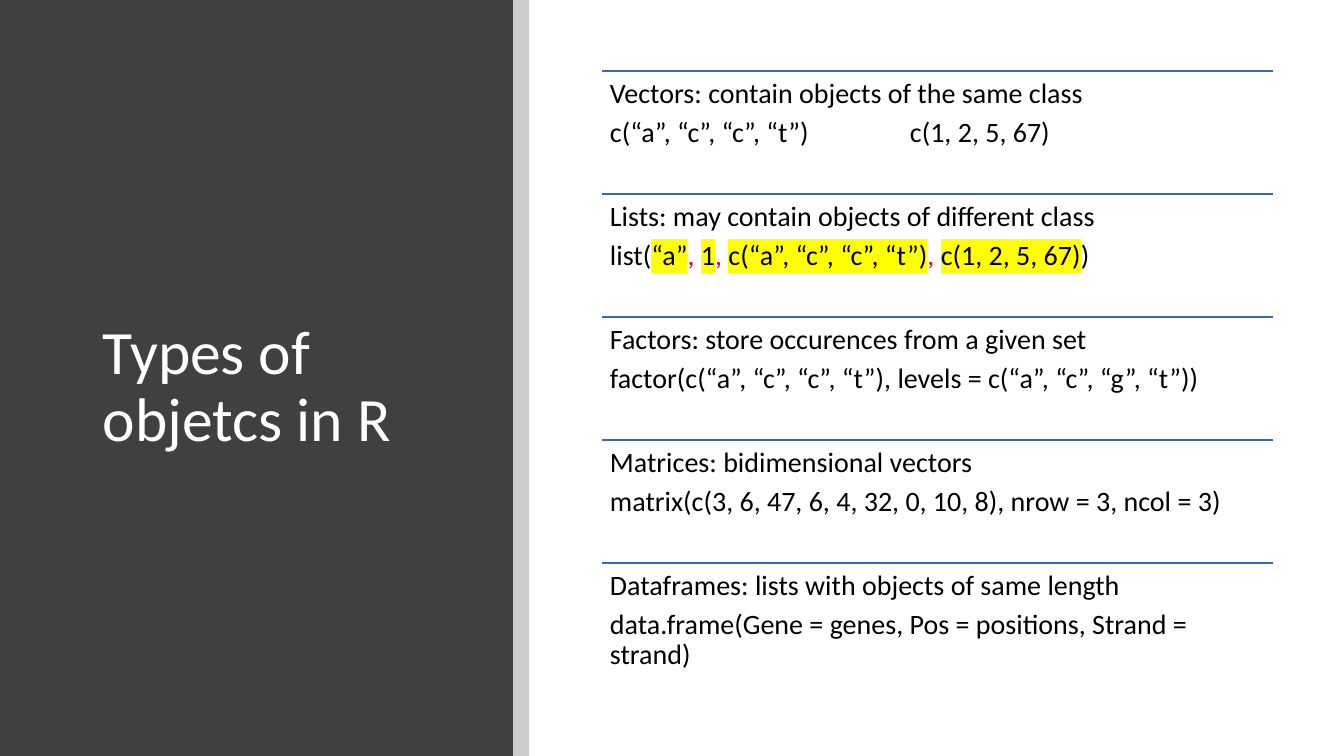
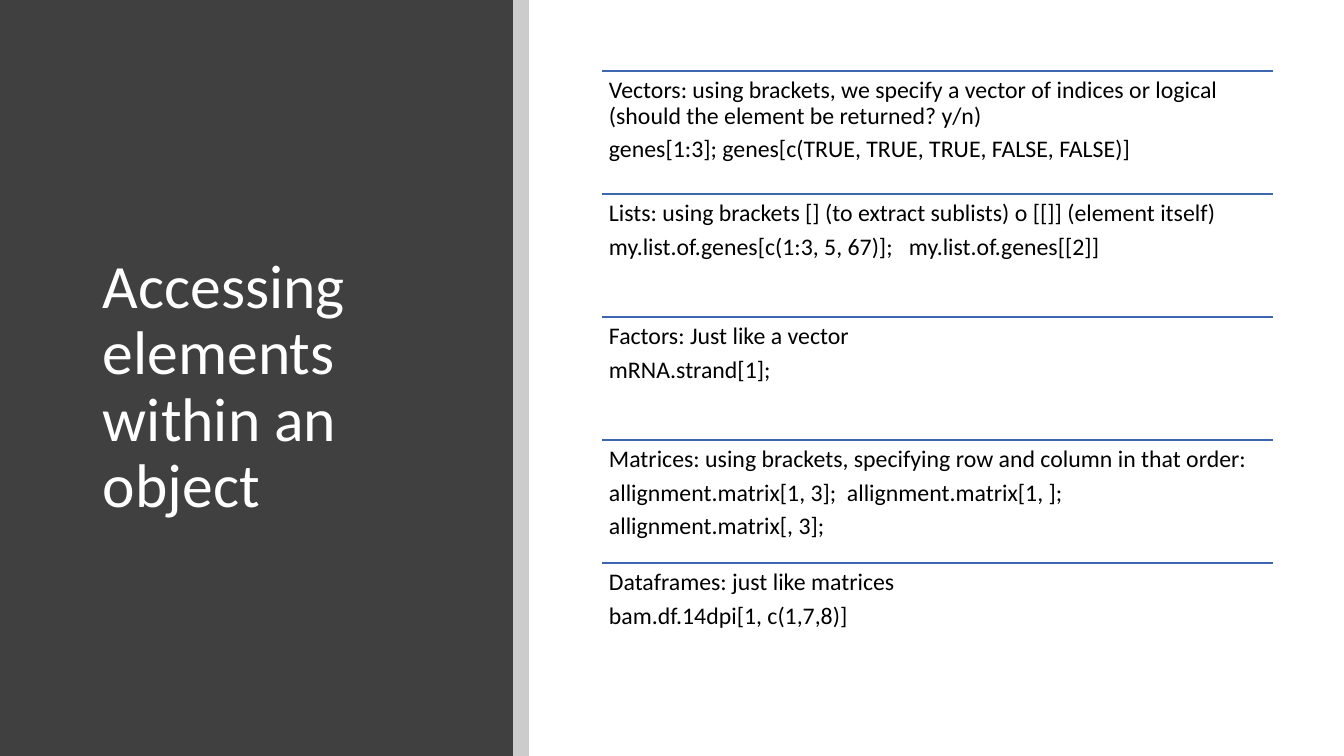
from lxml import etree
from pptx import Presentation
from pptx.dml.color import RGBColor
from pptx.enum.shapes import MSO_CONNECTOR, MSO_SHAPE
from pptx.enum.text import MSO_ANCHOR
from pptx.oxml.ns import qn
from pptx.util import Pt

RECTANGLE = MSO_SHAPE.RECTANGLE
STRAIGHT = MSO_CONNECTOR.STRAIGHT
TOP, MIDDLE = MSO_ANCHOR.TOP, MSO_ANCHOR.MIDDLE

WIDTH, HEIGHT = 1344, 756
SCALE = 12192000 / WIDTH
FONT = "Calibri"
PANEL, BLACK, WHITE = "404040", "000000", "FFFFFF"
RULE, RED, YELLOW = "3E67B2", "FF0000", "FFFF00"

PANEL_BOX = (0, 0, 513, HEIGHT)
STRIP_BOX = (513, 0, 16, HEIGHT)
TITLE_BOX = (93, 90, 368, 596)
ENTRIES_BOX = (602, 71, 671, 615)

MARKED = {"highlight": YELLOW}
COMMA = (", ", {"color": RED})

OBJECT_TYPES = [
    ["Vectors: contain objects of the same class",
     "c(“a”, “c”, “c”, “t”)\tc(1, 2, 5, 67)"],
    ["Lists: may contain objects of different class",
     [("list(", {}), ("“a”", MARKED), COMMA, ("1", MARKED), COMMA,
      ("c(“a”, “c”, “c”, “t”)", MARKED), COMMA,
      ("c(1, 2, 5, 67)", MARKED), (")", {})]],
    ["Factors: store occurences from a given set",
     "factor(c(“a”, “c”, “c”, “t”), levels = c(“a”, “c”, “g”, “t”))"],
    ["Matrices: bidimensional vectors",
     "matrix(c(3, 6, 47, 6, 4, 32, 0, 10, 8), nrow = 3, ncol = 3)"],
    ["Dataframes: lists with objects of same length",
     "data.frame(Gene = genes, Pos = positions, Strand = strand)"],
]

ACCESS_WAYS = [
    ["Vectors: using brackets, we specify a vector of indices or logical "
     "(should the element be returned? y/n)",
     "genes[1:3]; genes[c(TRUE, TRUE, TRUE, FALSE, FALSE)]"],
    ["Lists: using brackets [] (to extract sublists) o [[]] (element itself)",
     "my.list.of.genes[c(1:3, 5, 67)];\tmy.list.of.genes[[2]]"],
    ["Factors: Just like a vector",
     "mRNA.strand[1];"],
    ["Matrices: using brackets, specifying row and column in that order:",
     "allignment.matrix[1, 3];\tallignment.matrix[1, ];",
     "allignment.matrix[, 3];"],
    ["Dataframes: just like matrices",
     "bam.df.14dpi[1, c(1,7,8)]"],
]


def px(length):
    """Turn pixels into EMU."""
    return round(length * SCALE)


def rgb(value):
    """Turn a hex string into a colour."""
    return RGBColor.from_string(value)


def add_band(slide, box, color, opacity=100):
    """Draw a plain rectangle, see-through when opacity is below 100."""
    band = slide.shapes.add_shape(RECTANGLE, *map(px, box))
    band.shadow.inherit = False
    band.line.fill.background()
    band.fill.solid()
    band.fill.fore_color.rgb = rgb(color)
    if opacity < 100:
        tint = band.fill._xPr.find(".//" + qn("a:srgbClr"))
        etree.SubElement(tint, qn("a:alpha"), val=str(opacity * 1000))


def add_rule(slide, left, top, width):
    """Draw a thin horizontal line."""
    rule = slide.shapes.add_connector(
        STRAIGHT, px(left), px(top), px(left + width), px(top))
    rule.line.color.rgb = rgb(RULE)
    rule.line.width = Pt(1)
    etree.SubElement(rule._element.spPr, qn("a:effectLst"))


def add_run(paragraph, text, size, color=BLACK, highlight=None):
    """Add one run of text, optionally marked with a highlight colour."""
    run = paragraph.add_run()
    run.text = text
    run.font.size = Pt(size)
    run.font.name = FONT
    run.font.color.rgb = rgb(color)
    if highlight:
        marker = etree.Element(qn("a:highlight"))
        etree.SubElement(marker, qn("a:srgbClr"), val=highlight)
        run.font._element.find(qn("a:solidFill")).addnext(marker)


def add_text(slide, box, paragraphs, size, color=BLACK, anchor=TOP,
             inset=10, gap=0, tabs=()):
    """Place paragraphs, each a string or a list of (text, format) runs."""
    frame = slide.shapes.add_textbox(*map(px, box)).text_frame
    frame.word_wrap = True
    frame.vertical_anchor = anchor
    frame.margin_left = frame.margin_right = px(inset)
    frame.margin_top = frame.margin_bottom = px(inset)
    for index, content in enumerate(paragraphs):
        paragraph = frame.add_paragraph() if index else frame.paragraphs[0]
        paragraph.line_spacing = 0.9
        paragraph.space_after = Pt(gap)
        if tabs:
            stops = etree.SubElement(
                paragraph._p.get_or_add_pPr(), qn("a:tabLst"))
            for tab in tabs:
                etree.SubElement(stops, qn("a:tab"), pos=str(px(tab)), algn="l")
        runs = [(content, {})] if isinstance(content, str) else content
        for text, style in runs:
            add_run(paragraph, text, size, **{"color": color, **style})


def add_title_panel(slide, title):
    """Draw the dark panel with its edge strip and the slide title."""
    add_band(slide, PANEL_BOX, PANEL)
    add_band(slide, STRIP_BOX, BLACK, opacity=20)
    add_text(slide, TITLE_BOX, [title], size=44, color=WHITE, anchor=MIDDLE)


def add_entries(slide, box, entries, size, inset, tabs):
    """Stack entries in equal rows, each under a rule."""
    left, top, width, height = box
    row = height / len(entries)
    for index, entry in enumerate(entries):
        row_top = top + index * row
        add_rule(slide, left, row_top, width)
        add_text(slide, (left, row_top, width, row), entry, size=size,
                 inset=inset, gap=round(size * 0.33, 1), tabs=tabs)


def add_list_slide(deck, title, entries, size, inset, tabs):
    """Build a slide with a title panel on the left and entries on the right."""
    slide = deck.slides.add_slide(deck.slide_layouts[6])
    add_title_panel(slide, title)
    add_entries(slide, ENTRIES_BOX, entries, size, inset, tabs)


deck = Presentation()
deck.slide_width, deck.slide_height = px(WIDTH), px(HEIGHT)
add_list_slide(deck, "Types of objetcs in R", OBJECT_TYPES,
               size=20, inset=8, tabs=[300])
add_list_slide(deck, "Accessing elements within an object", ACCESS_WAYS,
               size=17, inset=7, tabs=[238, 300])
deck.save("out.pptx")
